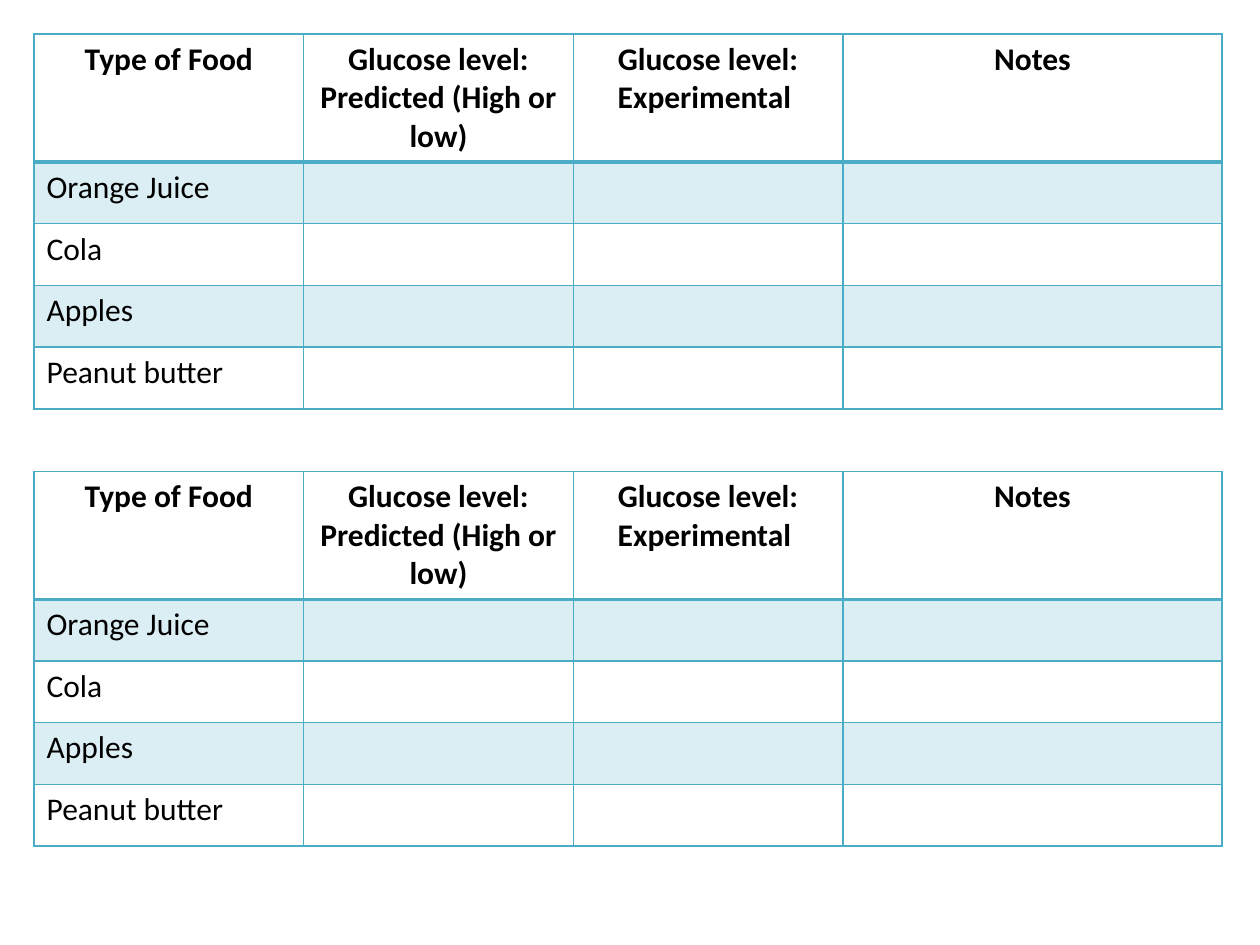
from dataclasses import dataclass

from lxml import etree
from pptx import Presentation
from pptx.dml.color import RGBColor
from pptx.enum import text
from pptx.oxml import ns
from pptx.util import Inches, Pt


@dataclass(frozen=True)
class Theme:
    font: str = "Calibri"
    size: int = 18
    ink: str = "000000"
    accent: str = "4BACC6"
    band_alpha: int = 20
    line: float = 1
    header_line: float = 2


theme = Theme()
HEADERS = ["Type of Food", "Glucose level: Predicted (High or low)",
           "Glucose level: Experimental ", "Notes"]
FOODS = ["Orange Juice", "Cola", "Apples", "Peanut butter"]
COL_WIDTHS = [2.14, 2.14, 2.14, 3.01]
ROW_HEIGHTS = [0.96] + [0.49] * len(FOODS)
LEFT, TABLE_TOPS = 0.27, [0.27, 3.74]


def set_borders(cell, widths):
    """Draw the cell's edges; widths maps L, R, T, B (in that order) to points."""
    tc_pr = cell._tc.get_or_add_tcPr()
    for i, (side, width) in enumerate(widths.items()):
        ln = etree.Element(ns.qn(f"a:ln{side}"), w=str(Pt(width)))
        fill = etree.SubElement(ln, ns.qn("a:solidFill"))
        etree.SubElement(fill, ns.qn("a:srgbClr"), val=theme.accent)
        tc_pr.insert(i, ln)


def shade(cell):
    cell.fill.solid()
    cell.fill.fore_color.rgb = RGBColor.from_string(theme.accent)
    color = cell._tc.tcPr.find(".//" + ns.qn("a:srgbClr"))
    etree.SubElement(color, ns.qn("a:alpha"), val=str(theme.band_alpha * 1000))


prs = Presentation()
prs.slide_width, prs.slide_height = Inches(10), Inches(7.5)
s = prs.slides.add_slide(prs.slide_layouts[6])

rows = [HEADERS] + [[food, "", "", ""] for food in FOODS]
for top in TABLE_TOPS:
    frame = s.shapes.add_table(len(rows), len(HEADERS), Inches(LEFT), Inches(top),
                               Inches(sum(COL_WIDTHS)), Inches(sum(ROW_HEIGHTS)))
    table = frame.table
    table.first_row = table.horz_banding = False
    for column, width in zip(table.columns, COL_WIDTHS):
        column.width = Inches(width)
    for row, height in zip(table.rows, ROW_HEIGHTS):
        row.height = Inches(height)

    for i, labels in enumerate(rows):
        for j, label in enumerate(labels):
            cell = table.cell(i, j)
            if i % 2:
                shade(cell)
            else:
                cell.fill.background()
            set_borders(cell, {
                "L": theme.line,
                "R": theme.line,
                "T": theme.header_line if i == 1 else theme.line,
                "B": theme.header_line if i == 0 else theme.line,
            })
            if not label:
                continue
            p = cell.text_frame.paragraphs[0]
            p.alignment = text.PP_ALIGN.CENTER if i == 0 else text.PP_ALIGN.LEFT
            r = p.add_run()
            r.text = label
            r.font.name = theme.font
            r.font.size = Pt(theme.size)
            r.font.bold = i == 0
            r.font.color.rgb = RGBColor.from_string(theme.ink)

prs.save("out.pptx")
